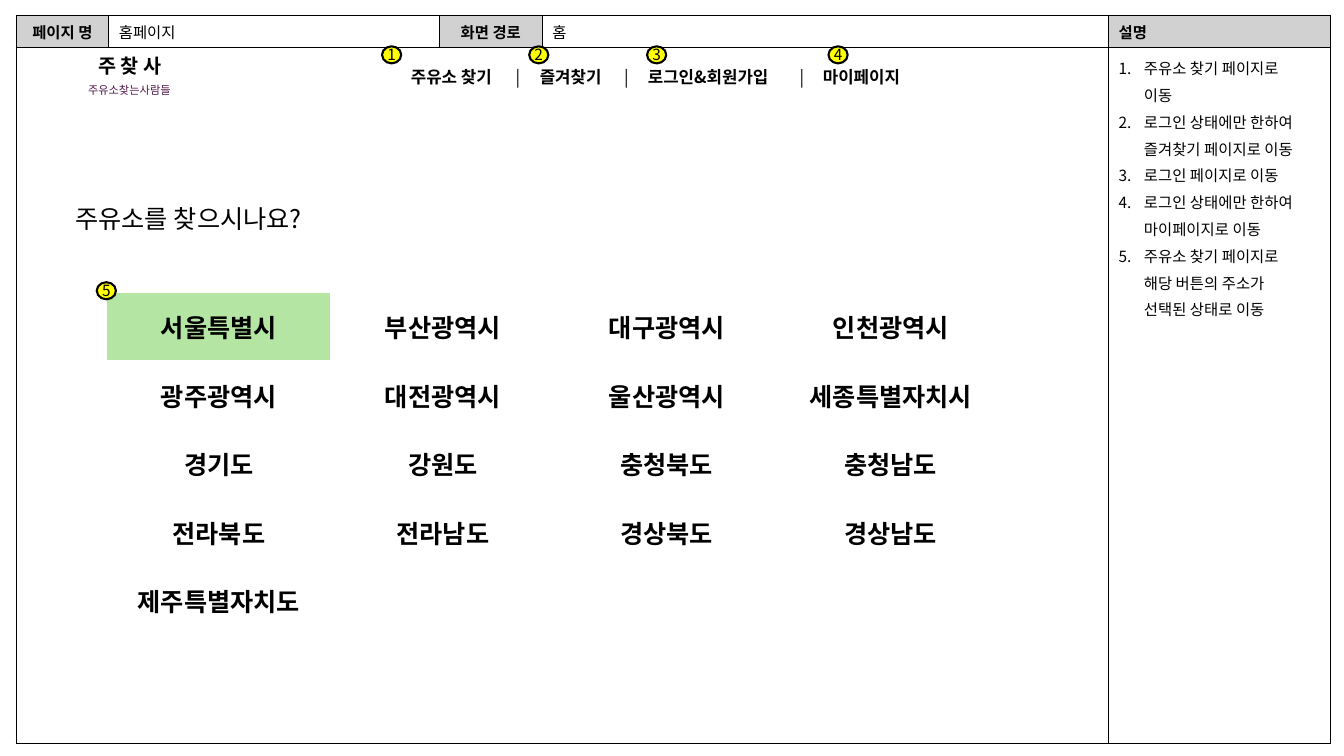
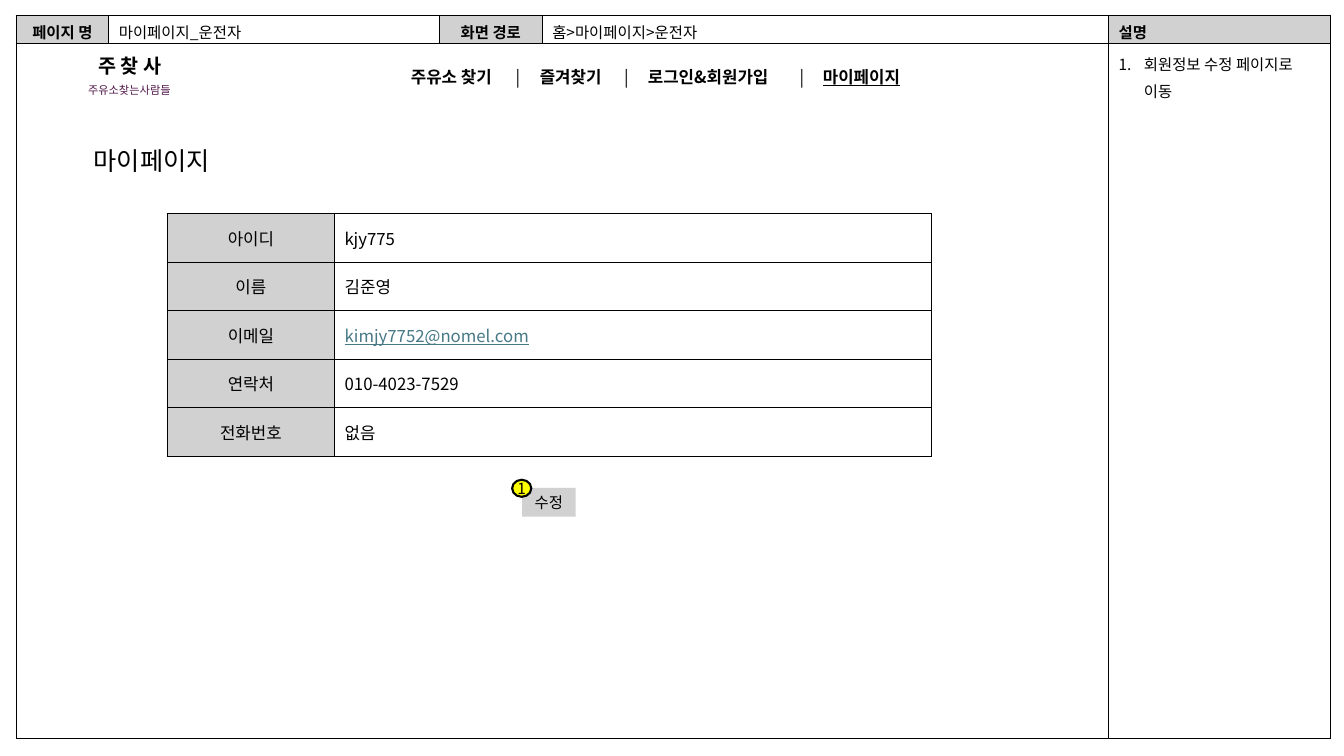
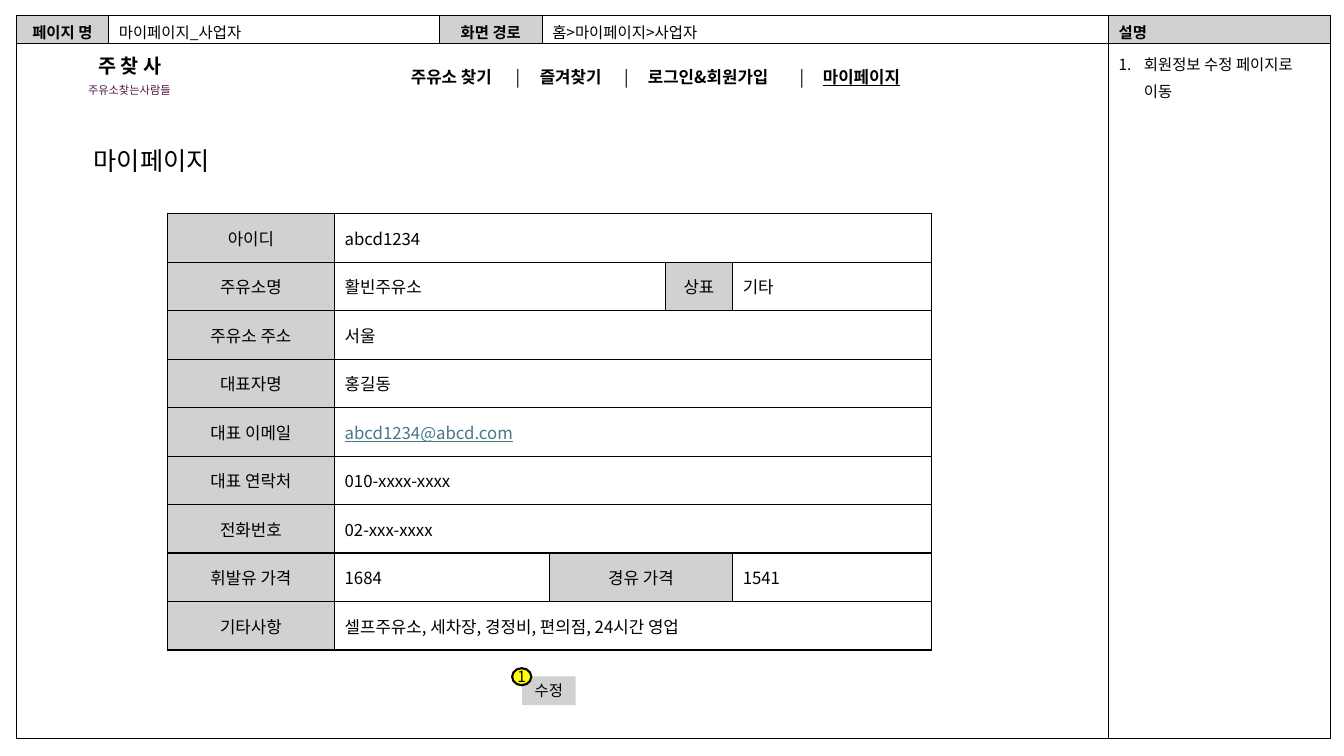
from dataclasses import dataclass
from typing import Optional

import lxml.etree
import pptx
import pptx.dml.color
import pptx.enum.shapes
import pptx.enum.text
import pptx.oxml.ns
import pptx.util

Pt = pptx.util.Pt
Align = pptx.enum.text.PP_ALIGN
Anchor = pptx.enum.text.MSO_ANCHOR
Shape = pptx.enum.shapes.MSO_SHAPE
qn = pptx.oxml.ns.qn

FONT = "Noto Sans CJK KR"
COLORS = {
    "ink": "000000",
    "paper": "FFFFFF",
    "label": "D1D1D1",
    "selected": "B4E5A2",
    "marker": "FFFF00",
    "tagline": "501649",
    "link": "467886",
}
FRAME_COLUMNS = (66.2, 236.2, 73.4, 404.6, 158.4)
FRAME_BODY = 497
PROFILE_COLUMNS = (119.5, 153.4, 82.8, 48.2, 141.8)
PROFILE_TOP = 152.6
PROFILE_ROW = 34.65
MENU = ("주유소 찾기", "즐겨찾기", "로그인&회원가입", "마이페이지")
MENU_TABS = ((76.4, "ctr"), (92.1, "l"), (153.9, "ctr"), (169.3, "l"), (279.3, "ctr"), (294.3, "l"))
REGIONS = (
    ("서울특별시", "부산광역시", "대구광역시", "인천광역시"),
    ("광주광역시", "대전광역시", "울산광역시", "세종특별자치시"),
    ("경기도", "강원도", "충청북도", "충청남도"),
    ("전라북도", "전라남도", "경상북도", "경상남도"),
    ("제주특별자치도", "", "", ""),
)


@dataclass(frozen=True)
class Style:
    size: float
    bold: bool = False
    color: str = "ink"
    align: Align = Align.LEFT
    underline: bool = False


@dataclass(frozen=True)
class Area:
    left: float
    top: float
    width: float
    height: float


@dataclass(frozen=True)
class Screen:
    name: str
    route: str
    notes: tuple[str, ...]
    header_height: float
    active: Optional[str] = None


@dataclass(frozen=True)
class Field:
    label: str
    value: str
    label_span: int = 1
    value_span: int = 1


NOTE = Style(11)
HEADING = Style(18)
CENTERED = Style(11, align=Align.CENTER)


def rgb(name: str) -> pptx.dml.color.RGBColor:
    return pptx.dml.color.RGBColor.from_string(COLORS[name])


def style_paragraph(para, style: Style) -> None:
    para.alignment = style.align
    font = para.font
    font.size = Pt(style.size)
    font.bold = style.bold
    font.underline = style.underline
    font.color.rgb = rgb(style.color)
    font.name = FONT
    defaults = para._p.pPr.find(qn("a:defRPr"))
    lxml.etree.SubElement(defaults, qn("a:ea"), typeface=FONT)


def add_paragraph_property(para, tag: str, **attributes: str):
    element = lxml.etree.Element(qn(tag), **attributes)
    para._p.pPr.find(qn("a:defRPr")).addprevious(element)
    return element


def write(frame, text: str, style: Style) -> None:
    para = frame.paragraphs[0]
    para.text = text
    style_paragraph(para, style)


def add_text(page, area: Area, text: str, style: Style):
    box = page.shapes.add_textbox(Pt(area.left), Pt(area.top), Pt(area.width), Pt(area.height))
    box.text_frame.word_wrap = True
    write(box.text_frame, text, style)
    return box


def add_label_shape(page, kind: Shape, area: Area, text: str, fill: str, outline: float = 0) -> None:
    shape = page.shapes.add_shape(kind, Pt(area.left), Pt(area.top), Pt(area.width), Pt(area.height))
    shape.shadow.inherit = False
    shape.fill.solid()
    shape.fill.fore_color.rgb = rgb(fill)
    if outline:
        shape.line.color.rgb = rgb("ink")
        shape.line.width = Pt(outline)
    else:
        shape.line.fill.background()
    frame = shape.text_frame
    frame.word_wrap = False
    frame.vertical_anchor = Anchor.MIDDLE
    frame.margin_left = frame.margin_right = frame.margin_top = frame.margin_bottom = 0
    write(frame, text, CENTERED)


def add_marker(page, number: int, left: float, top: float) -> None:
    add_label_shape(page, Shape.OVAL, Area(left, top, 13.7, 12.2), str(number), "marker", 1.5)


def add_borders(cell) -> None:
    properties = cell._tc.get_or_add_tcPr()
    for index, side in enumerate(("a:lnL", "a:lnR", "a:lnT", "a:lnB")):
        line = lxml.etree.Element(qn(side), w=str(Pt(1)))
        fill = lxml.etree.SubElement(line, qn("a:solidFill"))
        lxml.etree.SubElement(fill, qn("a:srgbClr"), val=COLORS["ink"])
        properties.insert(index, line)


def add_grid(page, left: float, top: float, columns: tuple[float, ...], rows: tuple[float, ...],
             bordered: bool = True):
    table = page.shapes.add_table(
        len(rows), len(columns), Pt(left), Pt(top), Pt(sum(columns)), Pt(sum(rows))
    ).table
    table.first_row = table.horz_banding = False
    for column, width in zip(table.columns, columns):
        column.width = Pt(width)
    for row, height in zip(table.rows, rows):
        row.height = Pt(height)
    for cell in table.iter_cells():
        paint(cell, "paper")
        if bordered:
            add_borders(cell)
    return table


def paint(cell, color: str) -> None:
    cell.fill.solid()
    cell.fill.fore_color.rgb = rgb(color)


def add_notes(cell, notes: tuple[str, ...]) -> None:
    frame = cell.text_frame
    for index, note in enumerate(notes):
        para = frame.add_paragraph() if index else frame.paragraphs[0]
        para.text = note
        para.line_spacing = 1.2
        style_paragraph(para, NOTE)
        para._p.pPr.set("marL", str(Pt(18)))
        para._p.pPr.set("indent", str(Pt(-18)))
        add_paragraph_property(para, "a:buAutoNum", type="arabicPeriod")


def add_menu(page, active: Optional[str]) -> None:
    box = add_text(page, Area(286.4, 43.9, 380, 21.6), "", Style(12, bold=True))
    para = box.text_frame.paragraphs[0]
    stops = add_paragraph_property(para, "a:tabLst")
    for position, align in MENU_TABS:
        lxml.etree.SubElement(stops, qn("a:tab"), pos=str(Pt(position)), algn=align)
    for index, item in enumerate(MENU):
        if index:
            bar = para.add_run()
            bar.text = "\t|\t"
            bar.font.bold = False
        span = para.add_run()
        span.text = item
        if item == active:
            span.font.underline = True


def add_screen(deck, screen: Screen):
    page = deck.slides.add_slide(deck.slide_layouts[6])
    table = add_grid(page, 11.5, 10.8, FRAME_COLUMNS, (screen.header_height, FRAME_BODY))
    header = ("페이지 명", screen.name, "화면 경로", screen.route, "설명")
    for column, text in enumerate(header):
        cell = table.cell(0, column)
        cell.margin_bottom = 0
        is_label = column % 2 == 0
        if is_label:
            paint(cell, "label")
        align = Align.CENTER if column in (0, 2) else Align.LEFT
        write(cell.text_frame, text, Style(11, bold=is_label, align=align))
    table.cell(1, 0).merge(table.cell(1, 3))
    add_notes(table.cell(1, 4), screen.notes)
    add_text(page, Area(27.4, 35.3, 130.3, 24.5), "주 찾 사", Style(14, bold=True, align=Align.CENTER))
    add_text(page, Area(46.8, 56.2, 91.4, 17.3), "주유소찾는사람들",
             Style(8, color="tagline", align=Align.CENTER))
    add_menu(page, screen.active)
    return page


def add_regions(page) -> None:
    table = add_grid(page, 76.3, 208.8, (160,) * 4, (48.95,) * len(REGIONS), bordered=False)
    for row, names in enumerate(REGIONS):
        for column, name in enumerate(names):
            cell = table.cell(row, column)
            cell.vertical_anchor = Anchor.MIDDLE
            write(cell.text_frame, name, Style(18, bold=True, align=Align.CENTER))
    paint(table.cell(0, 0), "selected")


def add_profile(page, columns: tuple[float, ...], rows: tuple[tuple[Field, ...], ...],
                button_top: float) -> None:
    add_text(page, Area(59.8, 100.1, 159.1, 28.8), "마이페이지", HEADING)
    table = add_grid(page, 119.5, PROFILE_TOP, columns, (PROFILE_ROW,) * len(rows))
    for row, fields in enumerate(rows):
        column = 0
        for field in fields:
            for text, span, is_label in (
                (field.label, field.label_span, True),
                (field.value, field.value_span, False),
            ):
                cell = table.cell(row, column)
                if span > 1:
                    cell.merge(table.cell(row, column + span - 1))
                cell.vertical_anchor = Anchor.MIDDLE
                if is_label:
                    paint(cell, "label")
                is_link = "@" in text
                write(cell.text_frame, text, Style(
                    12,
                    color="link" if is_link else "ink",
                    align=Align.CENTER if is_label else Align.LEFT,
                    underline=is_link,
                ))
                column += span
    add_label_shape(page, Shape.RECTANGLE, Area(373, button_top, 38.2, 20.6), "수정", "label")
    add_marker(page, 1, 365.8, button_top - 5.8)


def main() -> None:
    deck = pptx.Presentation()
    deck.slide_width, deck.slide_height = Pt(960), Pt(540)

    home = add_screen(deck, Screen("홈페이지", "홈", (
        "주유소 찾기 페이지로\v이동",
        "로그인 상태에만 한하여 즐겨찾기 페이지로 이동",
        "로그인 페이지로 이동",
        "로그인 상태에만 한하여 마이페이지로 이동",
        "주유소 찾기 페이지로\v해당 버튼의 주소가\v선택된 상태로 이동",
    ), 23))
    add_text(home, Area(46.8, 141.8, 721.4, 28.8), "주유소를 찾으시나요?", HEADING)
    add_regions(home)
    for number, left in enumerate((272.9, 378, 462.2, 591.8), start=1):
        add_marker(home, number, left, 33.1)
    add_marker(home, 5, 69.1, 201.6)

    edit_note = ("회원정보 수정 페이지로 이동",)
    driver = add_screen(deck, Screen("마이페이지_운전자", "홈>마이페이지>운전자", edit_note, 20, "마이페이지"))
    add_profile(driver, (PROFILE_COLUMNS[0], sum(PROFILE_COLUMNS[1:])), (
        (Field("아이디", "kjy775"),),
        (Field("이름", "김준영"),),
        (Field("이메일", "kimjy7752@nomel.com"),),
        (Field("연락처", "010-4023-7529"),),
        (Field("전화번호", "없음"),),
    ), 348.5)

    owner = add_screen(deck, Screen("마이페이지_사업자", "홈>마이페이지>사업자", edit_note, 20, "마이페이지"))
    add_profile(owner, PROFILE_COLUMNS, (
        (Field("아이디", "abcd1234", value_span=4),),
        (Field("주유소명", "활빈주유소", value_span=2), Field("상표", "기타")),
        (Field("주유소 주소", "서울", value_span=4),),
        (Field("대표자명", "홍길동", value_span=4),),
        (Field("대표 이메일", "abcd1234@abcd.com", value_span=4),),
        (Field("대표 연락처", "010-xxxx-xxxx", value_span=4),),
        (Field("전화번호", "02-xxx-xxxx", value_span=4),),
        (Field("휘발유 가격", "1684"), Field("경유 가격", "1541", label_span=2)),
        (Field("기타사항", "셀프주유소, 세차장, 경정비, 편의점, 24시간 영업", value_span=4),),
    ), 483.1)

    deck.save("out.pptx")


if __name__ == "__main__":
    main()
